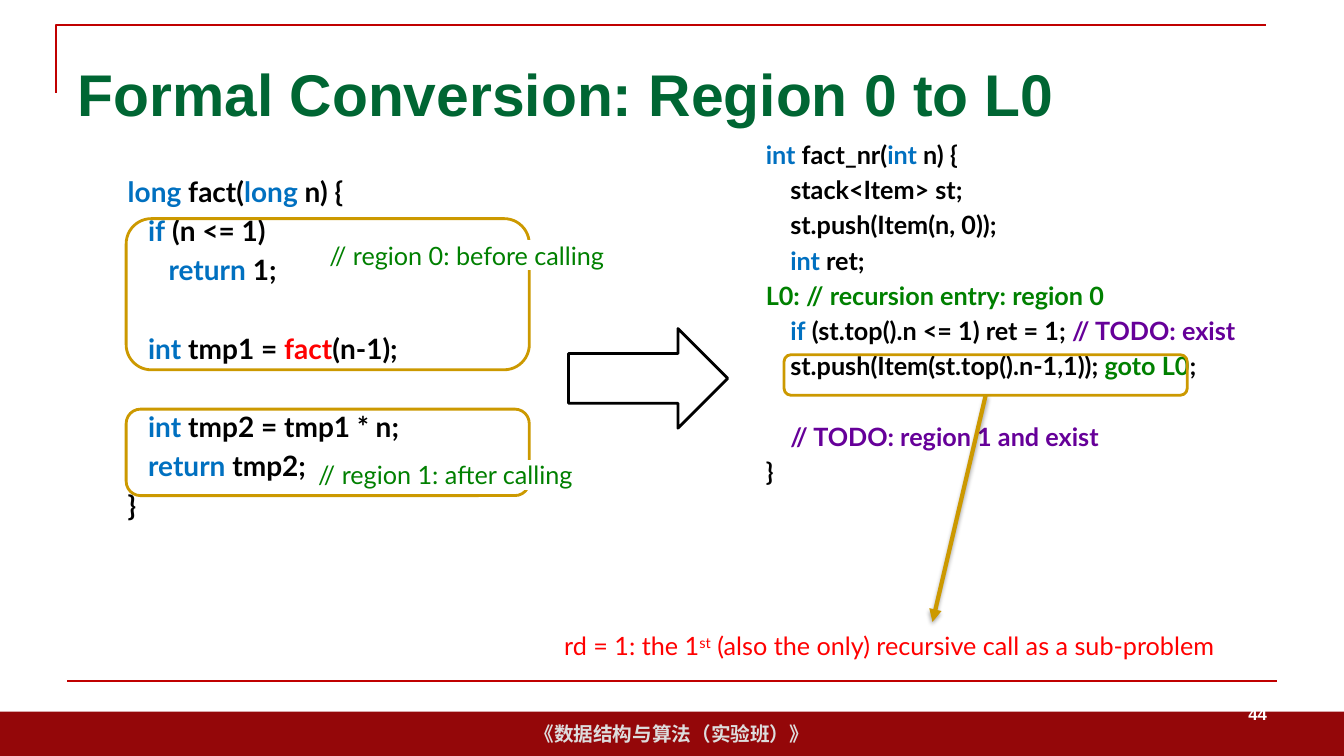
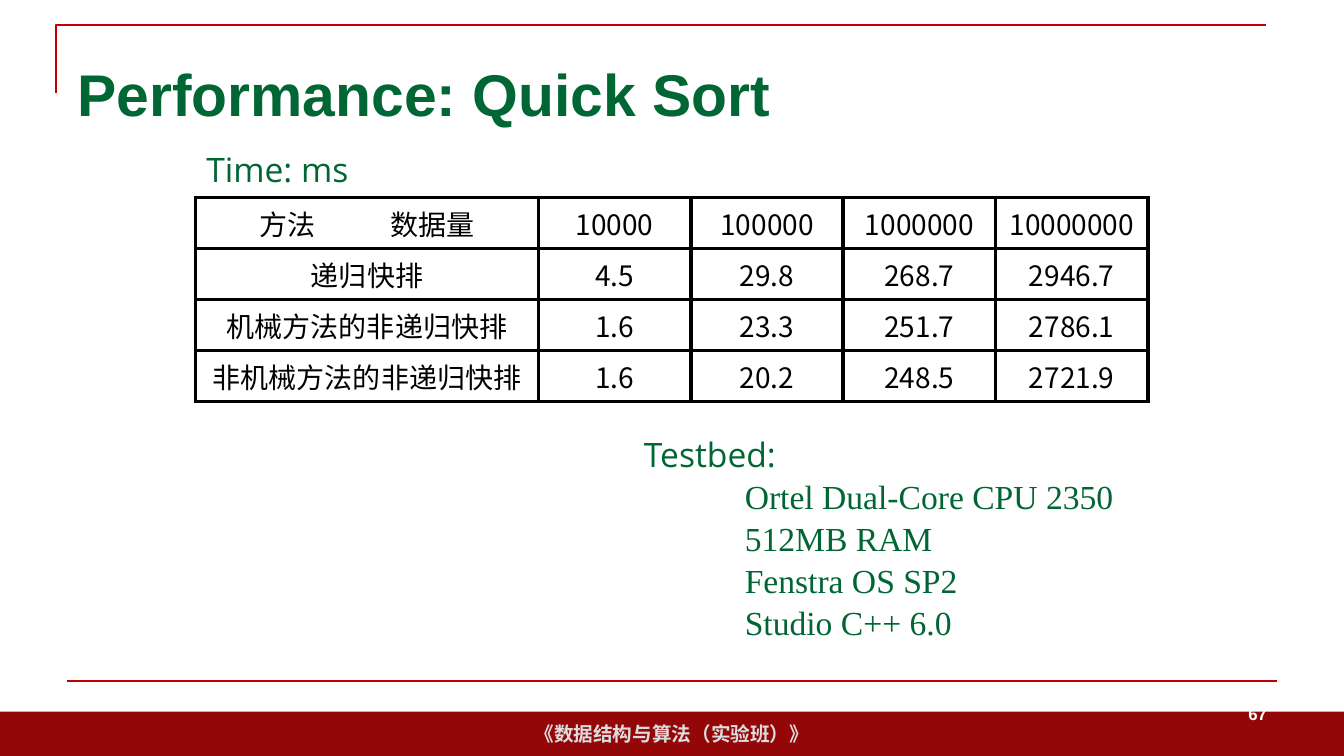
"""Build two lecture slides on turning recursion into iteration."""
from dataclasses import dataclass
from functools import partial
from typing import NamedTuple, Optional

from lxml import etree
from pptx import Presentation
from pptx import util as u
from pptx.dml import color as dml
from pptx.enum import shapes, text
from pptx.oxml import ns


@dataclass(frozen=True)
class Theme:
    green: str = "006633"
    band: str = "940709"
    rule: str = "C00000"
    footer: str = "DDDDDD"
    white: str = "FFFFFF"
    ink: str = "000000"
    keyword: str = "0070C0"
    comment: str = "008000"
    alert: str = "FF0000"
    todo: str = "660099"
    gold: str = "CC9900"
    heading: str = "Arial"
    code: str = "Lato"
    label: str = "Open Sans"
    serif: str = "Times New Roman"
    cjk: str = "Noto Sans CJK SC"
    title_size: int = 42
    label_size: int = 24
    large_size: int = 20
    note_size: int = 18
    footer_size: int = 14
    number_size: int = 12


THEME = Theme()


class Box(NamedTuple):
    left: float
    top: float
    width: float
    height: float

    def lengths(self) -> list:
        """Return the box as slide lengths."""
        return [u.Cm(value) for value in self]


class Span(NamedTuple):
    text: str
    color: str = THEME.ink
    baseline: int = 0


class Style(NamedTuple):
    font: str
    size: int
    bold: bool = False
    highlight: Optional[str] = None


class Line(NamedTuple):
    spans: tuple
    style: Style
    before: float = 0
    indent: float = 0


class Note(NamedTuple):
    box: Box
    spans: tuple


Keyword = partial(Span, color=THEME.keyword)
Comment = partial(Span, color=THEME.comment)
Alert = partial(Span, color=THEME.alert)
Todo = partial(Span, color=THEME.todo)
Label = partial(Span, color=THEME.green)

LEFT_CODE = (
    (Keyword("long"), Span(" fact("), Keyword("long"), Span(" n) {")),
    (Keyword("   if"), Span(" (n <= 1)")),
    (Keyword("      return"), Span(" 1;")),
    (),
    (Keyword("   int "), Span("tmp1 = "), Alert("fact"), Span("(n-1);")),
    (),
    (Keyword("   int "), Span("tmp2 = tmp1 * n;")),
    (Keyword("   return"), Span(" tmp2;")),
    (Span("}"),),
)
RIGHT_CODE = (
    (Keyword("int"), Span(" fact_nr("), Keyword("int"), Span(" n) {")),
    (Span("    stack<Item> st;"),),
    (Span("    st.push(Item(n, 0));"),),
    (Keyword("    int"), Span(" ret;")),
    (Comment("L0: // recursion entry: region 0"),),
    (Keyword("    if"), Span(" (st.top().n <= 1) ret = 1; "), Todo("// TODO: exist")),
    (Span("    st.push(Item(st.top().n-1,1)); "), Comment("goto L0"), Span(";")),
    (),
    (Todo("    // TODO: region 1 and exist"),),
    (Span("}"),),
)
REGIONS = (Box(3.18, 5.51, 10.16, 3.81), Box(3.18, 10.31, 10.16, 2.18))
NOTES = (
    Note(Box(8.05, 5.92, 8.26, 1.02), (Comment("// region 0: before calling"),)),
    Note(Box(7.77, 11.46, 8.26, 1.02), (Comment("// region 1: after calling"),)),
    Note(Box(13.97, 15.77, 18.34, 1.02), (
        Alert("rd = 1: the 1"), Alert("st", baseline=30000),
        Alert(" (also the only) recursive call as a sub-problem"))),
)
TIMINGS = (
    ("方法\t数据量", "10000", "100000", "1000000", "10000000"),
    ("递归快排", "4.5", "29.8", "268.7", "2946.7"),
    ("机械方法的非递归快排", "1.6", "23.3", "251.7", "2786.1"),
    ("非机械方法的非递归快排", "1.6", "20.2", "248.5", "2721.9"),
)
TESTBED = ("Ortel Dual-Core CPU 2350", "512MB RAM", "Fenstra OS SP2", "Studio C++ 6.0")


def rgb(code: str) -> dml.RGBColor:
    """Turn a hex code into a colour."""
    return dml.RGBColor.from_string(code)


def add_color(parent, tag: str, code: str):
    """Append an element holding a solid colour."""
    holder = etree.SubElement(parent, ns.qn(tag))
    return etree.SubElement(holder, ns.qn("a:srgbClr"), val=code)


def add_span(paragraph, span: Span, style: Style) -> None:
    """Add one formatted run."""
    run = paragraph.add_run()
    run.text = span.text
    formats = {"name": style.font, "size": u.Pt(style.size), "bold": style.bold}
    for attribute, value in formats.items():
        setattr(run.font, attribute, value)
    run.font.color.rgb = rgb(span.color)
    properties = run.font._element
    if span.baseline:
        properties.set("baseline", str(span.baseline))
    if style.highlight:
        add_color(properties, "a:highlight", style.highlight)
        properties.find(ns.qn("a:solidFill")).addnext(properties[-1])


def fill_frame(frame, lines: list, align=text.PP_ALIGN.LEFT,
               anchor=text.MSO_ANCHOR.TOP, wrap: bool = True) -> None:
    """Write formatted lines into a text frame."""
    formats = {"word_wrap": wrap, "vertical_anchor": anchor,
               "auto_size": text.MSO_AUTO_SIZE.NONE}
    for attribute, value in formats.items():
        setattr(frame, attribute, value)
    for index, line in enumerate(lines):
        paragraph = frame.add_paragraph() if index else frame.paragraphs[0]
        paragraph.alignment = align
        if line.before:
            paragraph.space_before = u.Pt(line.before)
        if line.indent:
            paragraph._p.get_or_add_pPr().set("marL", str(u.Cm(line.indent)))
        for span in line.spans:
            add_span(paragraph, span, line.style)


def add_text(slide, box: Box, lines: list, **layout) -> None:
    """Add a text box with formatted lines."""
    fill_frame(slide.shapes.add_textbox(*box.lengths()).text_frame, lines, **layout)


def add_code(slide, box: Box, listing: tuple, size: int) -> None:
    """Add a code listing, turning empty rows into spacing."""
    style = Style(THEME.code, size, bold=True)
    lines, gap = [], 0.0
    for spans in listing:
        if spans:
            before = gap + 0.2 * size if lines else 0
            lines.append(Line(spans, style, before))
            gap = 0.0
        else:
            gap += 1.4 * size
    add_text(slide, box, lines)


def set_line(shape, code: str, width: float) -> None:
    """Set the colour and width of an outline."""
    shape.line.color.rgb = rgb(code)
    shape.line.width = u.Pt(width)


def add_outline(slide, kind, box: Box, code: str):
    """Add an unfilled preset shape."""
    shape = slide.shapes.add_shape(kind, *box.lengths())
    shape.shadow.inherit = False
    shape.fill.background()
    set_line(shape, code, 2)
    return shape


def add_line(slide, start: tuple, end: tuple, code: str, width: float):
    """Add a straight line and return it with its empty effect list."""
    line = slide.shapes.add_connector(
        shapes.MSO_CONNECTOR.STRAIGHT, *(u.Cm(value) for value in start + end))
    set_line(line, code, width)
    effects = etree.SubElement(line.element.spPr, ns.qn("a:effectLst"))
    return line, effects


def add_arrow(slide, source, start: tuple, end: tuple) -> None:
    """Add a shadowed arrow leaving the bottom of a shape."""
    arrow, effects = add_line(slide, start, end, THEME.gold, 3)
    arrow.begin_connect(source, 2)
    etree.SubElement(arrow.element.spPr.find(ns.qn("a:ln")), ns.qn("a:tailEnd"), type="triangle")
    shade = add_color(effects, "a:outerShdw", THEME.ink)
    settings = {"blurRad": u.Pt(3.1), "dist": u.Pt(1.8), "dir": 5400000, "rotWithShape": 0}
    for attribute, value in settings.items():
        effects[0].set(attribute, str(value))
    etree.SubElement(shade, ns.qn("a:alpha"), val="35000")


def decorate_layout(slide) -> None:
    """Draw the band and rules, then move them to the slide's layout."""
    band = slide.shapes.add_shape(
        shapes.MSO_SHAPE.RECTANGLE, *Box(0, 17.93, 33.87, 1.12).lengths())
    band.shadow.inherit = False
    band.fill.solid()
    band.fill.fore_color.rgb = rgb(THEME.band)
    band.line.fill.background()
    course = Span("《数据结构与算法（实验班）》", THEME.footer)
    fill_frame(band.text_frame,
               [Line((course,), Style(THEME.heading, THEME.footer_size, True))],
               text.PP_ALIGN.CENTER, text.MSO_ANCHOR.MIDDLE, wrap=False)
    corner_path = slide.shapes.build_freeform(u.Cm(1.42), u.Cm(2.34))
    corner_path.add_line_segments(
        [(u.Cm(1.42), u.Cm(0.64)), (u.Cm(31.9), u.Cm(0.64))], close=False)
    corner = corner_path.convert_to_shape()
    corner.shadow.inherit = False
    corner.fill.background()
    set_line(corner, THEME.rule, 1.5)
    rule, _ = add_line(slide, (1.7, 17.15), (32.18, 17.15), THEME.rule, 1.5)
    for number, part in enumerate((band, corner, rule), 101):
        part.element.xpath(".//p:cNvPr")[0].set("id", str(number))
        slide.slide_layout.element.cSld.spTree.append(part.element)


def add_slide(deck, title: str, number: int):
    """Add a slide with its title and page number."""
    slide = deck.slides.add_slide(deck.slide_layouts[5])
    heading = slide.shapes.title
    places = zip(("left", "top", "width", "height"), Box(1.7, 0.76, 30.48, 3.18).lengths())
    for attribute, value in places:
        setattr(heading, attribute, value)
    fill_frame(heading.text_frame,
               [Line((Label(title),), Style(THEME.heading, THEME.title_size, True))],
               anchor=text.MSO_ANCHOR.MIDDLE)
    page = Span(str(number), THEME.white)
    add_text(slide, Box(24.28, 17.35, 7.9, 1.27),
             [Line((page,), Style(THEME.heading, THEME.number_size, True))],
             align=text.PP_ALIGN.RIGHT, anchor=text.MSO_ANCHOR.MIDDLE)
    return slide


def fill_cell(cell, value: str, font: str) -> None:
    """Write and border one table cell."""
    split = "\t" in value
    margins = {"margin_left": 1.62 if split else 0.33, "margin_right": 0.33,
               "margin_top": 0.13, "margin_bottom": 0.13}
    for attribute, length in margins.items():
        setattr(cell, attribute, u.Cm(length))
    cell.vertical_anchor = text.MSO_ANCHOR.MIDDLE
    cell.fill.background()
    paragraph = cell.text_frame.paragraphs[0]
    paragraph.alignment = text.PP_ALIGN.LEFT if split else text.PP_ALIGN.CENTER
    if split:
        tabs = etree.SubElement(paragraph._p.get_or_add_pPr(), ns.qn("a:tabLst"))
        etree.SubElement(tabs, ns.qn("a:tab"), pos=str(u.Cm(3.28)), algn="l")
    add_span(paragraph, Span(value), Style(font, THEME.large_size))
    properties = cell._tc.get_or_add_tcPr()
    for index, side in enumerate("LRTB"):
        border = etree.Element(ns.qn(f"a:ln{side}"), w=str(u.Pt(3)))
        add_color(border, "a:solidFill", THEME.ink)
        properties.insert(index, border)


def add_timings(slide) -> None:
    """Add the table of running times."""
    table = slide.shapes.add_table(
        len(TIMINGS), len(TIMINGS[0]), *Box(4.93, 4.98, 24, 4.8).lengths()).table
    table.first_row = table.horz_banding = False
    for index, column in enumerate(table.columns):
        column.width = u.Cm(3.84 if index else 8.64)
    for row, values in enumerate(TIMINGS):
        table.rows[row].height = u.Cm(1.2)
        for column, value in enumerate(values):
            method = row > 0 and column == 0
            fill_cell(table.cell(row, column), value, THEME.heading if method else THEME.cjk)


def build_conversion(slide) -> None:
    """Draw the recursive and the converted code."""
    add_code(slide, Box(2.97, 4.27, 11.86, 7.62), LEFT_CODE, THEME.large_size)
    add_code(slide, Box(19.05, 3.38, 14.8, 12.57), RIGHT_CODE, THEME.note_size)
    frame = shapes.MSO_SHAPE.ROUNDED_RECTANGLE
    for region in REGIONS:
        add_outline(slide, frame, region, THEME.gold)
    add_outline(slide, shapes.MSO_SHAPE.RIGHT_ARROW, Box(14.33, 8.28, 4.01, 2.51), THEME.ink)
    call = add_outline(slide, frame, Box(19.76, 8.94, 10.16, 1.02), THEME.gold)
    add_arrow(slide, call, (24.84, 9.96), (23.5, 15.67))
    style = Style(THEME.code, THEME.note_size, highlight=THEME.white)
    for note in NOTES:
        add_text(slide, note.box, [Line(note.spans, style)])


def build_performance(slide) -> None:
    """Draw the timings and the testbed."""
    add_timings(slide)
    label = Style(THEME.label, THEME.label_size)
    detail = Style(THEME.serif, THEME.label_size)
    testbed = [Line((Label("Testbed:"),), label)]
    testbed += [Line((Label(item),), detail, 1.2, 2.54) for item in TESTBED]
    add_text(slide, Box(15.98, 10.82, 17, 5.38), testbed)
    add_text(slide, Box(4.95, 3.63, 22.05, 1.27), [Line((Label("Time: ms"),), label)])


def main() -> None:
    """Build and save the deck."""
    deck = Presentation()
    deck.slide_width, deck.slide_height = u.Cm(33.87), u.Cm(19.05)
    conversion = add_slide(deck, "Formal Conversion: Region 0 to L0", 44)
    decorate_layout(conversion)
    build_conversion(conversion)
    build_performance(add_slide(deck, "Performance: Quick Sort", 67))
    deck.save("out.pptx")


if __name__ == "__main__":
    main()
